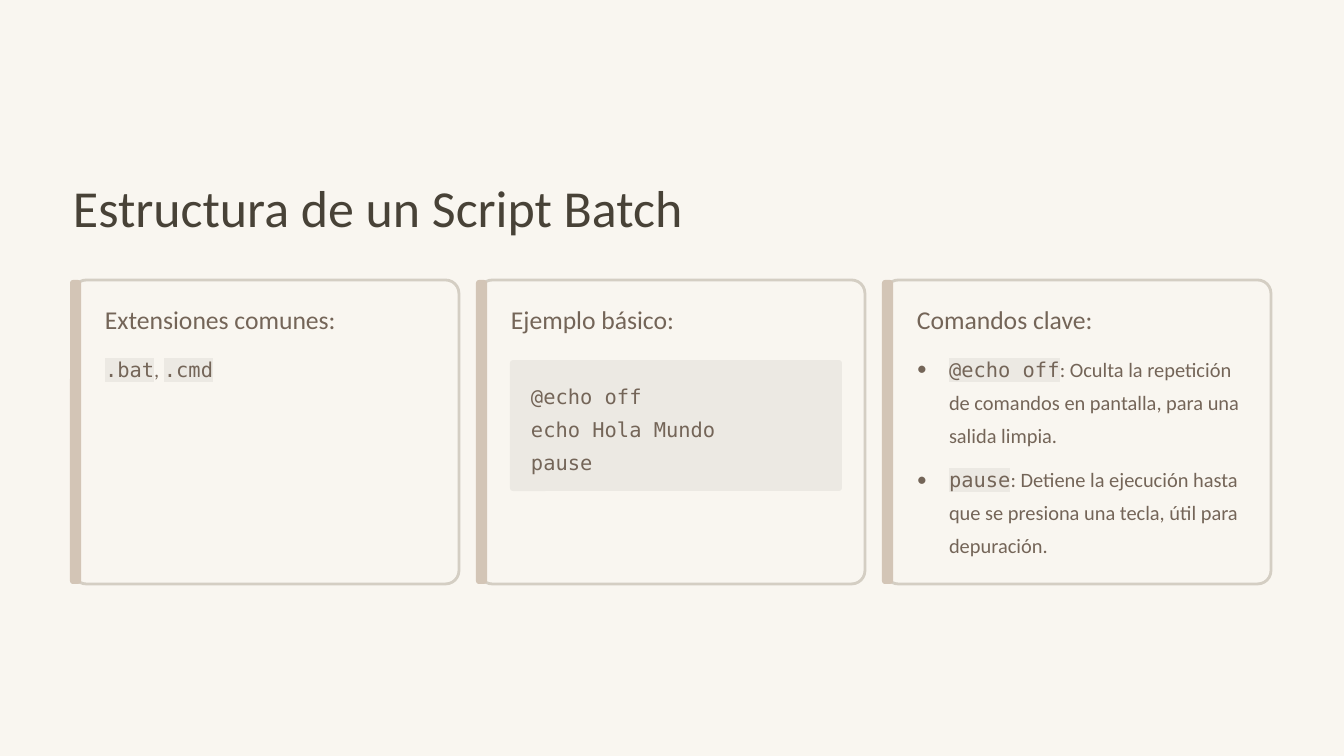
import pptx
import pptx.dml.color
import pptx.enum.shapes
import pptx.oxml
import pptx.oxml.ns
import pptx.util

COLORS = {
    "background": "F9F6F0",
    "title": "484237",
    "body": "746558",
    "border": "D4CEC3",
    "accent": "D3C5B6",
    "code": "ECE9E3",
}
SANS, MONO = "Calibri", "DejaVu Sans Mono"
EMU_PER_PX = 914400 / 84


def px(length):
    return round(length * EMU_PER_PX)


def rgb(name):
    return pptx.dml.color.RGBColor.from_string(COLORS[name])


def element(xml):
    """Parse one drawing element, given without its namespace declaration."""
    tag, rest = xml.split(" ", 1)
    return pptx.oxml.parse_xml(f"{tag} {pptx.oxml.ns.nsdecls('a')} {rest}")


class SlideBuilder:
    def __init__(self, slide):
        self.slide = slide
        slide.background.fill.solid()
        slide.background.fill.fore_color.rgb = rgb("background")

    def panel(self, left, top, width, height, fill, rounding, border=None):
        panel = self.slide.shapes.add_shape(
            pptx.enum.shapes.MSO_SHAPE.ROUNDED_RECTANGLE,
            px(left), px(top), px(width), px(height))
        panel.shadow.inherit = False
        panel.adjustments[0] = rounding
        panel.fill.solid()
        panel.fill.fore_color.rgb = rgb(fill)
        if border:
            panel.line.color.rgb = rgb(border)
            panel.line.width = pptx.util.Pt(2.4)
        else:
            panel.line.fill.background()

    def text(self, left, top, width, height, paragraphs, size=17.5, spacing=28.5,
             color="body", wrap=False, bullets=False):
        """Each paragraph is a list of (text, is_code) pieces."""
        frame = self.slide.shapes.add_textbox(
            px(left), px(top), px(width), px(height)).text_frame
        frame.margin_left = frame.margin_top = 0
        frame.margin_right = frame.margin_bottom = 0
        frame.word_wrap = wrap
        for index, pieces in enumerate(paragraphs):
            paragraph = frame.add_paragraph() if index else frame.paragraphs[0]
            paragraph.line_spacing = pptx.util.Pt(spacing)
            if bullets:
                self.bullet(paragraph)
                if index:
                    paragraph.space_before = pptx.util.Pt(9)
            for words, is_code in pieces:
                run = paragraph.add_run()
                run.text = words
                run.font.size = pptx.util.Pt(size)
                run.font.color.rgb = rgb(color)
                run.font.name = MONO if is_code else SANS
                if is_code:
                    self.highlight(run)

    def bullet(self, paragraph):
        properties = paragraph._p.get_or_add_pPr()
        properties.set("marL", str(px(32)))
        properties.set("indent", str(-px(32)))
        properties.append(element(f'<a:buFont typeface="{SANS}"/>'))
        properties.append(element('<a:buChar char="•"/>'))

    def highlight(self, run):
        latin = run._r.rPr.find(pptx.oxml.ns.qn("a:latin"))
        latin.addprevious(element(
            f'<a:highlight ><a:srgbClr val="{COLORS["code"]}"/></a:highlight>'))

    def card(self, left, heading):
        self.panel(left, 280, 386, 304, "background", 0.044, "border")
        self.panel(left - 3, 280, 11, 304, "accent", 0.279)
        self.text(left + 32, 303, 286, 33, [[(heading, False)]], size=22, spacing=27.5)


def main():
    presentation = pptx.Presentation()
    presentation.slide_width, presentation.slide_height = px(1344), px(756)
    builder = SlideBuilder(presentation.slides.add_slide(presentation.slide_layouts[6]))

    # Title
    builder.text(73, 173, 759, 66, [[("Estructura de un Script Batch", False)]],
                 size=44.5, spacing=55.5, color="title")

    # Three equally spaced cards
    headings = ["Extensiones comunes:", "Ejemplo básico:", "Comandos clave:"]
    card_lefts = [73 + 406 * column for column in range(len(headings))]
    for left, heading in zip(card_lefts, headings):
        builder.card(left, heading)
    extensions_left, example_left, commands_left = card_lefts

    # File extensions
    builder.text(extensions_left + 32, 348, 330, 35,
                 [[(".bat", True), (", ", False), (".cmd", True)]])

    # Code example
    builder.panel(example_left + 31, 360, 332, 131, "code", 0.024)
    example = ["@echo off", "echo Hola Mundo", "pause"]
    builder.text(example_left + 52, 375, 291, 100,
                 [[(line, True)] for line in example], wrap=True)

    # Key commands
    commands = {
        "@echo off": ": Oculta la repetición de comandos en pantalla, para una salida limpia.",
        "pause": ": Detiene la ejecución hasta que se presiona una tecla, útil para depuración.",
    }
    builder.text(commands_left + 32, 348, 330, 212,
                 [[(command, True), (purpose, False)] for command, purpose in commands.items()],
                 wrap=True, bullets=True)

    presentation.save("out.pptx")


if __name__ == "__main__":
    main()
